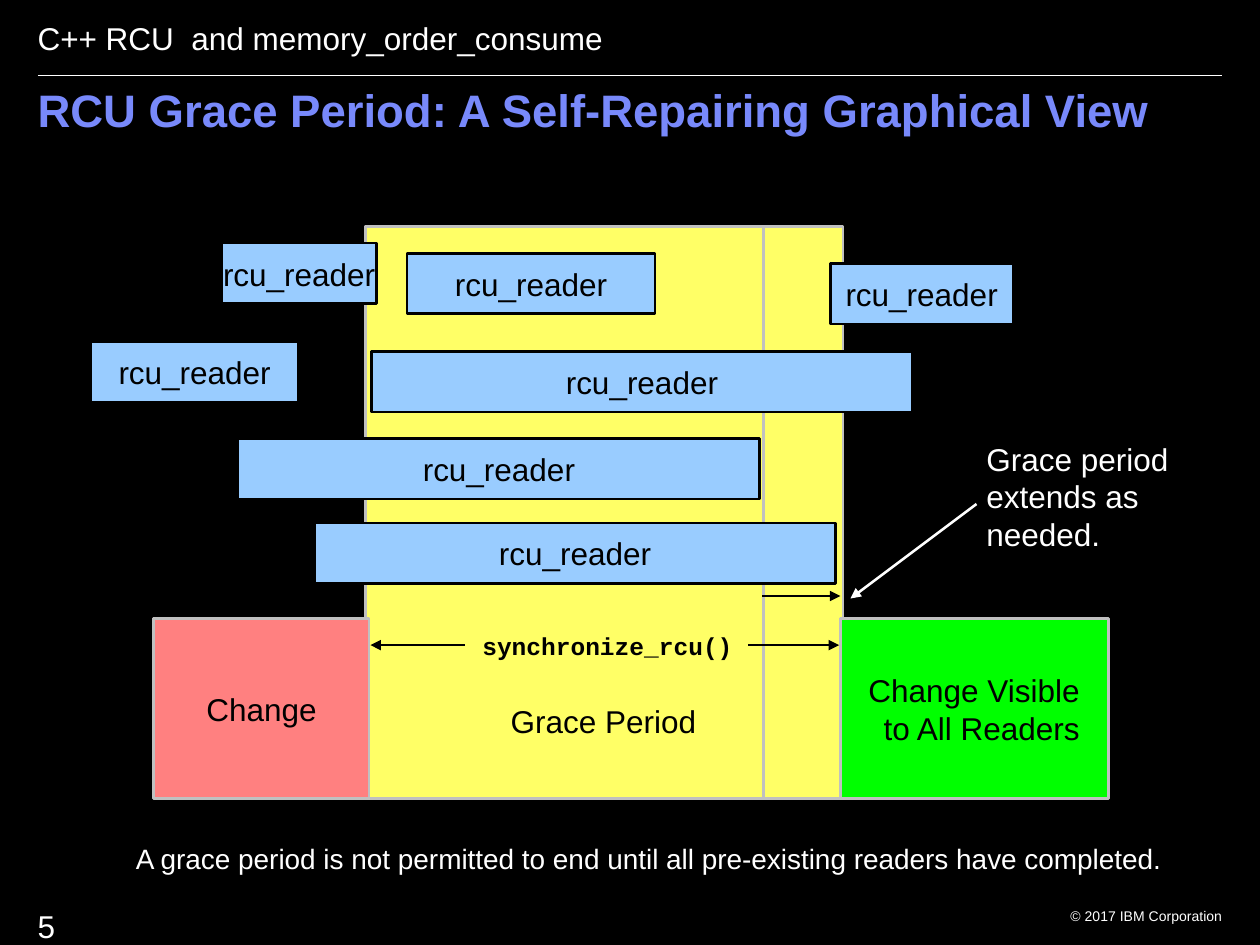
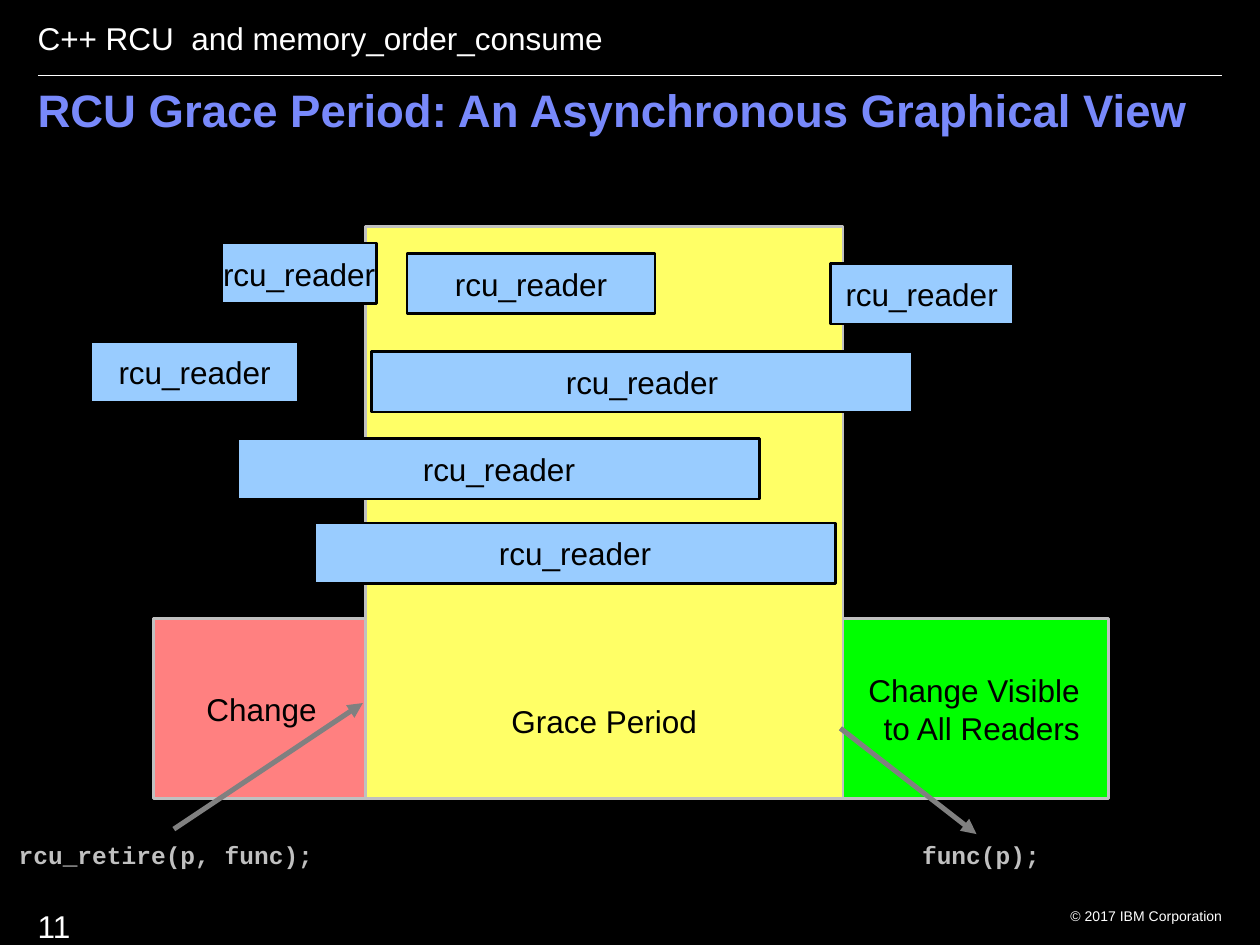
from dataclasses import dataclass

from lxml.etree import SubElement
from pptx import Presentation
from pptx.dml.color import RGBColor
from pptx.enum.shapes import MSO_CONNECTOR as Connector, MSO_SHAPE as Shape
from pptx.enum.text import MSO_ANCHOR as Anchor, PP_ALIGN as Align
from pptx.oxml.ns import qn
from pptx.util import Inches, Pt


@dataclass(frozen=True)
class Theme:
    black: str = "000000"
    white: str = "FFFFFF"
    title: str = "7889FB"
    reader: str = "99CCFF"
    period: str = "FFFF66"
    change: str = "FF8080"
    visible: str = "00FF00"
    border: str = "C0C0C0"
    callback: str = "808080"
    sans: str = "Arial"
    mono: str = "Courier New"
    title_size: int = 26
    body_size: int = 18
    note_size: int = 16
    code_size: int = 14
    footer_size: int = 8
    rule_width: float = 0.75
    line_width: float = 1.45
    callback_width: float = 2.9


THEME = Theme()

# Content shared by both slides
HEADER = "C++ RCU  and memory_order_consume"
COPYRIGHT = "© 2017 IBM Corporation"
READER = "rcu_reader"
READER_HEIGHT = 0.48
READERS = [  # left, top, width
    (0.72, 2.71, 1.65),
    (3.23, 2.01, 1.97),
    (1.89, 3.48, 4.14),
    (2.5, 4.15, 4.13),
    (2.95, 2.79, 4.29),
    (6.59, 2.09, 1.45),
    (1.76, 1.93, 1.23),
]
PERIOD = (2.9, 1.8, 3.79, 4.54)
SHORT_PERIOD_WIDTH = 3.16
CHANGE = (1.22, 4.91, 1.71, 1.43)
VISIBLE = (6.67, 4.91, 2.13, 1.43)
CODE = dict(font=THEME.mono, size=THEME.code_size, bold=True)
BLACK_ARROW = dict(color=THEME.black)
CALLBACK_ARROW = dict(color=THEME.callback, width=THEME.callback_width)

# Content of each slide: arrows are (start, end, format), labels (box, lines, format)
SLIDES = [
    dict(
        number="5",
        title="RCU Grace Period: A Self-Repairing Graphical View",
        extended=True,
        arrows=[
            ((7.75, 4), (6.75, 4.75), dict(color=THEME.white)),
            ((3.69, 5.12), (2.94, 5.12), BLACK_ARROW),
            ((5.94, 5.12), (6.66, 5.12), BLACK_ARROW),
            ((6.05, 4.73), (6.67, 4.73), BLACK_ARROW),
        ],
        labels=[
            ((7.73, 3.44, 1.9, 1),
             ["Grace period", "extends as", "needed."], {}),
            ((0.98, 6.63, 8.6, 0.37),
             ["A grace period is not permitted to end until all "
              "pre-existing readers have completed."],
             dict(size=THEME.note_size)),
            ((3.73, 4.96, 2.4, 0.33), ["synchronize_rcu()"],
             dict(CODE, color=THEME.black)),
        ],
    ),
    dict(
        number="11",
        title="RCU Grace Period: An Asynchronous Graphical View",
        extended=False,
        arrows=[
            ((1.38, 6.58), (2.88, 5.58), CALLBACK_ARROW),
            ((6.67, 5.78), (7.75, 6.62), CALLBACK_ARROW),
        ],
        labels=[
            ((7.22, 6.62, 1.4, 0.33), ["func(p);"],
             dict(CODE, color=THEME.border)),
            ((0.05, 6.62, 2.8, 0.33), ["rcu_retire(p, func);"],
             dict(CODE, color=THEME.border)),
        ],
    ),
]


def rgb(color):
    return RGBColor.from_string(color)


def write(shape, lines, *, size=THEME.body_size, color=THEME.white,
          font=THEME.sans, bold=False, align=Align.LEFT, anchor=Anchor.TOP,
          insets=(0.1, 0.05, 0.1, 0.05), spacing=None):
    """Put lines of text, one paragraph each, into a shape."""
    frame = shape.text_frame
    frame.word_wrap = True
    frame.vertical_anchor = anchor
    (frame.margin_left, frame.margin_top,
     frame.margin_right, frame.margin_bottom) = map(Inches, insets)
    for index, line in enumerate(lines):
        paragraph = frame.add_paragraph() if index else frame.paragraphs[0]
        paragraph.alignment = align
        if spacing:
            paragraph.line_spacing = spacing
        run = paragraph.add_run()
        run.text = line
        run.font.name = font
        run.font.size = Pt(size)
        run.font.bold = bold
        run.font.color.rgb = rgb(color)


def add_label(slide, box, lines, **text_format):
    write(slide.shapes.add_textbox(*map(Inches, box)), lines, **text_format)


def add_block(slide, box, fill, lines=(), border=THEME.border, **text_format):
    block = slide.shapes.add_shape(Shape.RECTANGLE, *map(Inches, box))
    block.shadow.inherit = False
    block.fill.solid()
    block.fill.fore_color.rgb = rgb(fill)
    block.line.color.rgb = rgb(border)
    block.line.width = Pt(THEME.line_width)
    defaults = dict(color=THEME.black, align=Align.CENTER,
                    anchor=Anchor.MIDDLE, insets=(0.01,) * 4)
    write(block, lines, **{**defaults, **text_format})


def add_line(slide, start, end, color, width=THEME.line_width, arrow=True):
    line = slide.shapes.add_connector(
        Connector.STRAIGHT, *map(Inches, (*start, *end)))
    line.line.color.rgb = rgb(color)
    line.line.width = Pt(width)
    if arrow:
        SubElement(line.line._get_or_add_ln(), qn("a:tailEnd"), type="triangle")
    SubElement(line._element.spPr, qn("a:effectLst"))


def add_frame(slide, title, number):
    """Background, header, rule, title and footer."""
    slide.background.fill.solid()
    slide.background.fill.fore_color.rgb = rgb(THEME.black)
    add_line(slide, (0.3, 0.6), (9.7, 0.6), THEME.white,
             width=THEME.rule_width, arrow=False)
    add_label(slide, (0.2, 0.1, 5, 0.4), [HEADER])
    add_label(slide, (0.2, 0.65, 9.5, 0.7), [title], size=THEME.title_size,
              color=THEME.title, bold=True, spacing=0.9)
    add_label(slide, (8.3, 7.15, 1.5, 0.2), [COPYRIGHT],
              size=THEME.footer_size, align=Align.RIGHT)
    add_label(slide, (0.2, 7.15, 0.95, 0.4), [number])


def add_period(slide, extended):
    """Grace period, with its label centred on the full width."""
    left, top, width, height = PERIOD
    label = dict(lines=["Grace Period"], anchor=Anchor.BOTTOM)
    if extended:
        add_block(slide, PERIOD, THEME.period)
        shift = width - SHORT_PERIOD_WIDTH
        add_block(slide, (left, top, SHORT_PERIOD_WIDTH, height), THEME.period,
                  insets=(shift, 0.01, 0.01, 0.47), **label)
    else:
        add_block(slide, PERIOD, THEME.period,
                  insets=(0.01, 0.01, 0.01, 0.47), **label)


def add_phases(slide):
    add_block(slide, VISIBLE, THEME.visible,
              ["Change Visible", "to All Readers"], align=Align.RIGHT,
              insets=(0.01, 0.01, 0.23, 0.01))
    add_block(slide, CHANGE, THEME.change, ["Change"])


def build_slide(deck, content):
    slide = deck.slides.add_slide(deck.slide_layouts[6])
    add_frame(slide, content["title"], content["number"])

    # An extended period lies behind the phases, a plain one in front
    if content["extended"]:
        add_period(slide, extended=True)
        add_phases(slide)
    else:
        add_phases(slide)
        add_period(slide, extended=False)

    # Annotations
    for start, end, line_format in content["arrows"]:
        add_line(slide, start, end, **line_format)
    for box, lines, text_format in content["labels"]:
        add_label(slide, box, lines, **text_format)

    # Readers
    for left, top, width in READERS:
        add_block(slide, (left, top, width, READER_HEIGHT), THEME.reader,
                  [READER], border=THEME.black)


def main():
    deck = Presentation()
    deck.slide_width, deck.slide_height = Inches(10), Inches(7.5)
    for content in SLIDES:
        build_slide(deck, content)
    deck.save("out.pptx")


if __name__ == "__main__":
    main()
